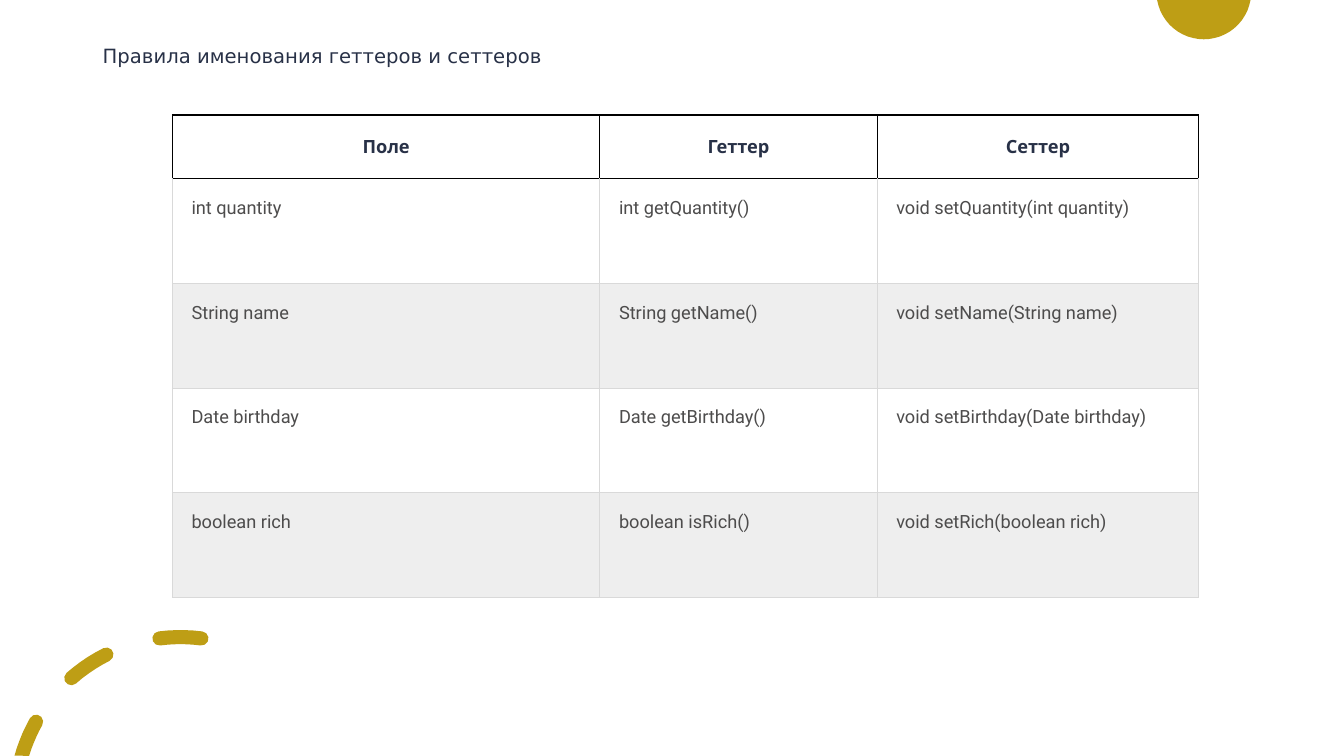
from math import cos, radians, sin

from lxml.etree import SubElement
from pptx import Presentation
from pptx.dml.color import RGBColor
from pptx.enum.text import MSO_ANCHOR as Anchor, PP_ALIGN as Align
from pptx.oxml.ns import qn
from pptx.util import Inches, Pt

# Content
TITLE = "Правила именования геттеров и сеттеров"
ROWS = [
    ("Поле", "Геттер", "Сеттер"),
    ("int quantity", "int getQuantity()", "void setQuantity(int quantity)"),
    ("String name", "String getName()", "void setName(String name)"),
    ("Date birthday", "Date getBirthday()", "void setBirthday(Date birthday)"),
    ("boolean rich", "boolean isRich()", "void setRich(boolean rich)"),
]

# Layout, in inches
WIDTH, HEIGHT = 13.33, 7.5
TITLE_BOX = (0.92, 0.26, 11.39, 0.61)
TABLE_AT = (1.71, 1.14)
COLS = (4.24, 2.75, 3.19)
HEAD_H, BODY_H = 0.63, 1.04
CELL_PAD = 0.19
UNITS = 1000                            # outline units per inch

# Arcs: centre x, centre y, radius; angles in degrees from the top
DISC, DISC_SPAN = (11.94, -0.08, 0.47), (100, 260)
RING = (1.79, 7.96, 1.64)
DASH_HALF = 0.07
# Outer start, inner start, end; unequal starts are cut by the slide's edge
DASHES = [(-74.3, -72.9, -60.8), (-41.3, -41.3, -26.6), (-7.3, -7.3, 7.3)]

# Formats
GOLD, INK, GRAY = "BE9E15", "283147", "4D4C4C"
BLACK, LINE = "000000", "D9D9D9"
STRIPES = ("EEEEEE", "FFFFFF")
TITLE_FONT = {"name": "DejaVu Sans", "size": Pt(14), "bold": False}
HEAD_FONT = {"name": "Open Sans", "size": Pt(13), "bold": True}
BODY_FONT = {"name": "Roboto", "size": Pt(13), "bold": False}


def rgb(value):
    return RGBColor.from_string(value)


def write(tf, text, font, color, align=Align.LEFT):
    p = tf.paragraphs[0]
    p.alignment = align
    r = p.add_run()
    r.text = text
    for name, value in font.items():
        setattr(r.font, name, value)
    r.font.color.rgb = rgb(color)
    return p


def arc(x, y, radius, start, end, steps=5):
    """Points on a circle, with angles clockwise from the top."""
    angles = [radians(start + (end - start) * i / steps) for i in range(steps + 1)]
    return [(x + radius * sin(a), y - radius * cos(a)) for a in angles]


def dash(outer, inner, end):
    """Outline of a round-ended stroke along the ring."""
    x, y, radius = RING
    (x0, y0), (x1, y1) = arc(x, y, radius, outer, end, 1)
    points = (arc(x, y, radius + DASH_HALF, outer, end)
              + arc(x1, y1, DASH_HALF, end, end + 180)[1:-1]
              + arc(x, y, radius - DASH_HALF, end, inner))
    if outer == inner:
        points += arc(x0, y0, DASH_HALF, outer + 180, outer + 360)[1:-1]
    return points


def add_outline(shapes, contours):
    """One gold shape from closed contours."""
    builder = None
    for contour in contours:
        first, *rest = [(round(x * UNITS), round(y * UNITS)) for x, y in contour]
        if builder is None:
            builder = shapes.build_freeform(*first, scale=Inches(1) / UNITS)
        else:
            builder.move_to(*first)
        builder.add_line_segments(rest, close=True)
    sp = builder.convert_to_shape()
    sp.shadow.inherit = False
    sp.fill.solid()
    sp.fill.fore_color.rgb = rgb(GOLD)
    sp.line.fill.background()


def set_borders(cell, sides):
    tcPr = cell._tc.get_or_add_tcPr()
    for side, (color, width) in sides.items():
        ln = SubElement(tcPr, qn("a:ln" + side), w=str(Pt(width)))
        SubElement(SubElement(ln, qn("a:solidFill")), qn("a:srgbClr"), val=color)


def add_grid(shapes):
    heights = [HEAD_H] + [BODY_H] * (len(ROWS) - 1)
    box = (*TABLE_AT, sum(COLS), sum(heights))
    table = shapes.add_table(len(ROWS), len(COLS), *map(Inches, box)).table
    table.first_row = table.horz_banding = False
    for col, width in zip(table.columns, COLS):
        col.width = Inches(width)
    for i, (row, height) in enumerate(zip(table.rows, heights)):
        row.height = Inches(height)
        edge = BLACK if i == 0 else LINE
        top = (BLACK, 1) if i == 0 else (BLACK if i == 1 else LINE, 0.75)
        bottom = (edge, 0.75)
        for cell, text in zip(row.cells, ROWS[i]):
            for side in ("left", "top", "right", "bottom"):
                setattr(cell, "margin_" + side, Inches(CELL_PAD))
            set_borders(cell, {"L": (edge, 1), "R": (edge, 1),
                               "T": top, "B": bottom})
            if i == 0:
                cell.fill.background()
                write(cell.text_frame, text, HEAD_FONT, INK, Align.CENTER)
            else:
                cell.fill.solid()
                cell.fill.fore_color.rgb = rgb(STRIPES[i % 2])
                write(cell.text_frame, text, BODY_FONT, GRAY)


def main():
    prs = Presentation()
    prs.slide_width, prs.slide_height = Inches(WIDTH), Inches(HEIGHT)
    s = prs.slides.add_slide(prs.slide_layouts[6])

    # Corner decoration
    add_outline(s.shapes, [arc(*DISC, *DISC_SPAN, 24)])
    add_outline(s.shapes, [dash(*span) for span in DASHES])

    # Title
    tf = s.shapes.add_textbox(*map(Inches, TITLE_BOX)).text_frame
    tf.word_wrap = True
    tf.vertical_anchor = Anchor.MIDDLE
    write(tf, TITLE, TITLE_FONT, INK).line_spacing = 0.9

    # Table
    add_grid(s.shapes)
    prs.save("out.pptx")


if __name__ == "__main__":
    main()
